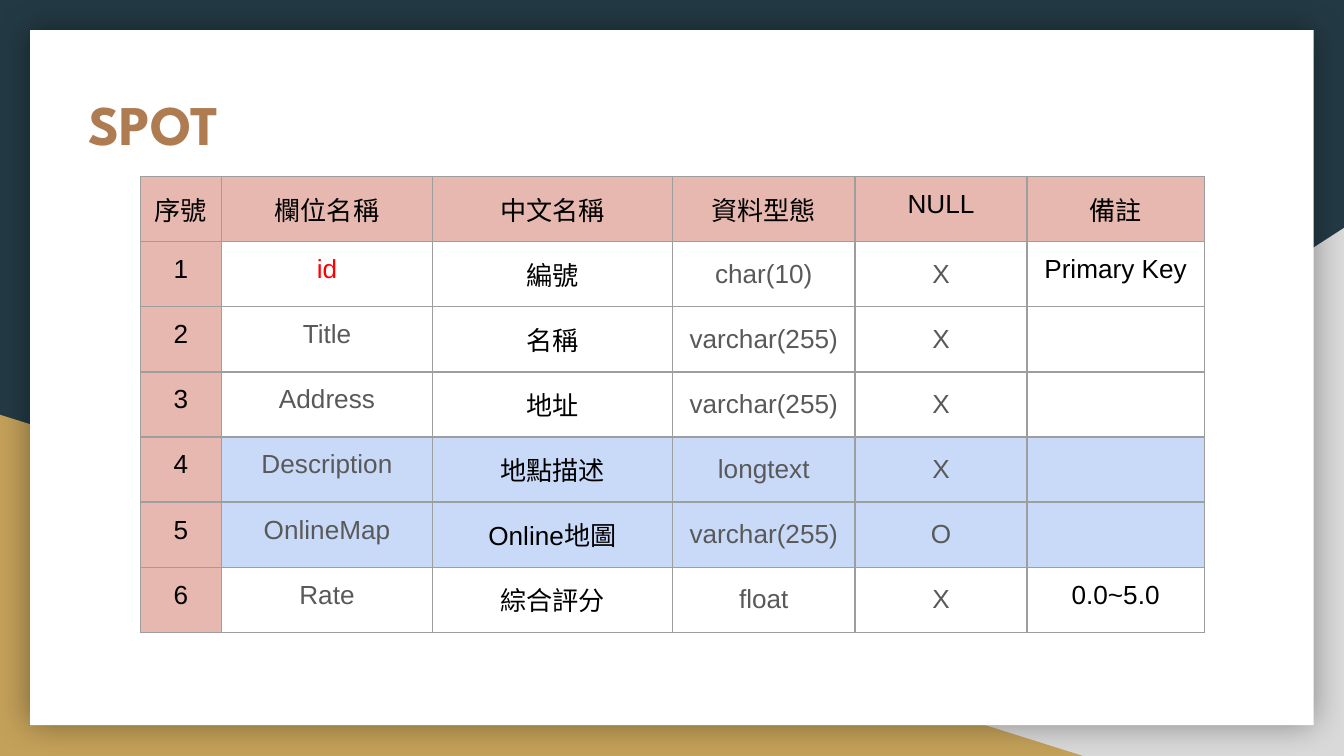
from lxml import etree
from pptx import Presentation
from pptx import util as u
from pptx.dml.color import RGBColor
from pptx.enum import shapes, text
from pptx.oxml import parse_xml
from pptx.oxml.ns import nsdecls, qn

NAVY = RGBColor(0x23, 0x3A, 0x44)
GREY = RGBColor(0xD9, 0xD9, 0xD9)
GOLD = RGBColor(0xC4, 0xA1, 0x5A)
WHITE = RGBColor(0xFF, 0xFF, 0xFF)
BROWN = RGBColor(0xAF, 0x7B, 0x51)
PINK = RGBColor(0xE6, 0xB8, 0xAF)
BLUE = RGBColor(0xC9, 0xDA, 0xF8)
BLACK = RGBColor(0x00, 0x00, 0x00)
RED = RGBColor(0xFF, 0x00, 0x00)
SLATE = RGBColor(0x59, 0x59, 0x59)
BORDER = RGBColor(0x9E, 0x9E, 0x9E)

COLUMN_WIDTHS = [1.54, 3.98, 4.54, 3.45, 3.25, 3.35]
ROW_HEIGHT = 1.23
FIELDS = [
    ["序號", "欄位名稱", "中文名稱", "資料型態", "NULL", "備註"],
    ["1", "id", "編號", "char(10)", "X", "Primary Key"],
    ["2", "Title", "名稱", "varchar(255)", "X", ""],
    ["3", "Address", "地址", "varchar(255)", "X", ""],
    ["4", "Description", "地點描述", "longtext", "X", ""],
    ["5", "OnlineMap", "Online地圖", "varchar(255)", "O", ""],
    ["6", "Rate", "綜合評分", "float", "X", "0.0~5.0"],
]
HIGHLIGHTED_ROWS = (4, 5)
TYPE_COLUMNS = (3, 4)


class SlideBuilder:
    title_font = "League Spartan"
    body_font = "Arial"
    margin = u.Cm(0.25)

    def __init__(self, page):
        self.page = page

    def background(self, color):
        fill = self.page.background.fill
        fill.solid()
        fill.fore_color.rgb = color

    def shape(self, kind, left, top, width, height, color, flip=False):
        shape = self.page.shapes.add_shape(
            kind, u.Cm(left), u.Cm(top), u.Cm(width), u.Cm(height))
        shape.shadow.inherit = False
        shape.fill.solid()
        shape.fill.fore_color.rgb = color
        shape.line.fill.background()
        if flip:
            shape._element.spPr.find(qn("a:xfrm")).set("flipH", "1")
        return shape

    def glow_shadow(self, shape, blur, opacity):
        effects = shape._element.spPr.find(qn("a:effectLst"))
        effects.append(parse_xml(
            f'<a:outerShdw {nsdecls("a")} blurRad="{u.Pt(blur)}" dist="0" dir="0" '
            f'algn="ctr" rotWithShape="0"><a:srgbClr val="{BLACK}">'
            f'<a:alpha val="{opacity * 1000}"/></a:srgbClr></a:outerShdw>'))

    def format_span(self, span, font, size, color, bold=False):
        span.font.name = font
        span.font.size = u.Pt(size)
        span.font.color.rgb = color
        span.font.bold = bold

    def title(self, words, left, top, width, height):
        box = self.page.shapes.add_textbox(
            u.Cm(left), u.Cm(top), u.Cm(width), u.Cm(height))
        frame = box.text_frame
        frame.word_wrap = True
        frame.margin_left = frame.margin_right = self.margin
        frame.margin_top = frame.margin_bottom = self.margin
        frame.text = words
        self.format_span(frame.paragraphs[0].runs[0], self.title_font, 30, BROWN, True)

    def cell_borders(self, cell):
        properties = cell._tc.get_or_add_tcPr()
        for side in ("lnL", "lnR", "lnT", "lnB"):
            line = etree.SubElement(properties, qn(f"a:{side}"), w=str(u.Pt(0.75)))
            fill = etree.SubElement(line, qn("a:solidFill"))
            etree.SubElement(fill, qn("a:srgbClr"), val=str(BORDER))

    def cell(self, cell, words, color, fill, spaced):
        self.cell_borders(cell)
        if fill is None:
            cell.fill.background()
        else:
            cell.fill.solid()
            cell.fill.fore_color.rgb = fill
        cell.margin_left = cell.margin_right = self.margin
        # Empty cells need no vertical margin, so they never stretch a row
        cell.margin_top = cell.margin_bottom = self.margin if words else 0
        if not words:
            return
        cell.text_frame.text = words
        para = cell.text_frame.paragraphs[0]
        para.alignment = text.PP_ALIGN.CENTER
        if spaced:
            para.line_spacing = 1.15
            para.space_after = u.Pt(12)
        self.format_span(para.runs[0], self.body_font, 14, color)

    def table(self, rows, left, top):
        table = self.page.shapes.add_table(
            len(rows), len(COLUMN_WIDTHS), u.Cm(left), u.Cm(top),
            u.Cm(sum(COLUMN_WIDTHS)), u.Cm(ROW_HEIGHT * len(rows))).table
        table.first_row = table.horz_banding = False
        for column, width in zip(table.columns, COLUMN_WIDTHS):
            column.width = u.Cm(width)
        for r, row in enumerate(rows):
            table.rows[r].height = u.Cm(ROW_HEIGHT)
            for c, words in enumerate(row):
                spaced = r > 0 and c in TYPE_COLUMNS
                self.cell(table.cell(r, c), words, text_color(r, c),
                          cell_fill(r, c), spaced)


def text_color(row, column):
    if (row, column) == (1, 1):
        return RED
    if row > 0 and column in (1, *TYPE_COLUMNS):
        return SLATE
    return BLACK


def cell_fill(row, column):
    if row == 0 or column == 0:
        return PINK
    return BLUE if row in HIGHLIGHTED_ROWS else None


def main():
    deck = Presentation()
    deck.slide_width, deck.slide_height = u.Cm(25.4), u.Cm(14.29)
    builder = SlideBuilder(deck.slides.add_slide(deck.slide_layouts[6]))

    # Backdrop: two corner triangles behind a white card
    triangle = shapes.MSO_SHAPE.RIGHT_TRIANGLE
    builder.background(NAVY)
    builder.shape(triangle, 9.96, 4.31, 15.44, 9.98, GREY, flip=True)
    builder.shape(triangle, 0, 7.84, 20.47, 6.45, GOLD)
    card = builder.shape(shapes.MSO_SHAPE.RECTANGLE, 0.57, 0.57, 24.26, 13.14, WHITE)
    builder.glow_shadow(card, blur=18, opacity=40)

    # Heading and field list
    builder.title("SPOT", 1.42, 1.45, 20.85, 2.64)
    builder.table(FIELDS, 2.65, 3.34)

    deck.save("out.pptx")


if __name__ == "__main__":
    main()
